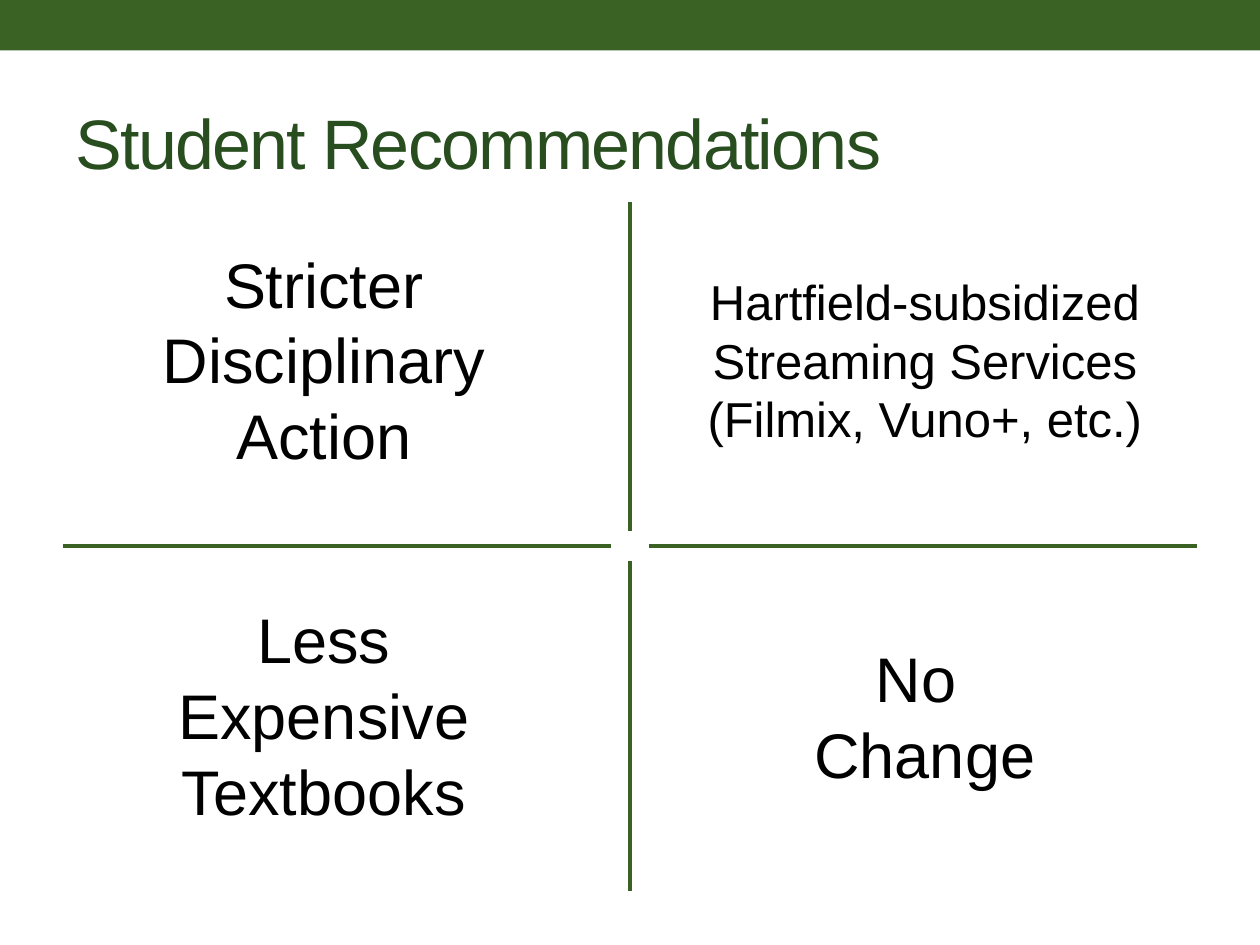
from pptx import Presentation
from pptx.dml.color import RGBColor
from pptx.enum.shapes import MSO_CONNECTOR, MSO_SHAPE
from pptx.enum.text import MSO_ANCHOR, PP_ALIGN
from pptx.oxml.ns import qn
from pptx.util import Inches, Pt
from lxml import etree

RECT, LINE = MSO_SHAPE.RECTANGLE, MSO_CONNECTOR.STRAIGHT
LEFT, CENTER, MIDDLE = PP_ALIGN.LEFT, PP_ALIGN.CENTER, MSO_ANCHOR.MIDDLE
COLORS = {"green": "396224", "title": "284D1F", "text": "000000"}
FONT = "Arial"
TITLE_ONLY = 5


def rgb(name):
    return RGBColor.from_string(COLORS[name])


def inches(*values):
    return [Inches(v) for v in values]


def format_text(tf, size, color, align):
    tf.word_wrap = True
    for p in tf.paragraphs:
        p.alignment = align
        for r in p.runs:
            r.font.size = Pt(size)
            r.font.name = FONT
            r.font.color.rgb = rgb(color)


def add_header(slide, box):
    """Bar across the top and the title below it."""
    x, y, w, h = box
    bar = slide.shapes.add_shape(RECT, *inches(x, y, w, 0.4))
    bar.shadow.inherit = False
    bar.fill.solid()
    bar.fill.fore_color.rgb = rgb("green")
    bar.line.fill.background()

    title = slide.shapes.title
    title.left, title.top, title.width, title.height = inches(
        x + 0.5, y + 0.58, w - 1, h - 0.58)
    tf = title.text_frame
    tf.text = "Student Recommendations"
    tf.vertical_anchor = MIDDLE
    format_text(tf, 40, "title", LEFT)
    tf.paragraphs[0].runs[0].font._element.set("spc", "-100")


def add_rule(slide, x1, y1, x2, y2):
    line = slide.shapes.add_connector(LINE, *inches(x1, y1, x2, y2))
    line.line.color.rgb = rgb("green")
    line.line.width = Pt(2.08)
    etree.SubElement(line._element.spPr, qn("a:effectLst"))


def add_cross(slide, box, gap_x, gap_y):
    """Four rules that leave a gap around the centre of the box."""
    x, y, w, h = box
    cx, cy = x + w / 2, y + h / 2
    for side in (-1, 1):
        add_rule(slide, cx, cy + side * gap_y, cx, cy + side * h / 2)
        add_rule(slide, cx + side * gap_x, cy, cx + side * w / 2, cy)


def add_quadrants(slide, box, items):
    """One text per quadrant, centred on the given shares of the box."""
    x, y, w, h = box
    for text, size, share_x, share_y, tw, th in items:
        sp = slide.shapes.add_textbox(*inches(
            x + w * share_x - tw / 2, y + h * share_y - th / 2, tw, th))
        sp.text_frame.text = text
        format_text(sp.text_frame, size, "text", CENTER)


prs = Presentation()
prs.slide_width, prs.slide_height = inches(10, 7.5)
slide = prs.slides.add_slide(prs.slide_layouts[TITLE_ONLY])

GRID = (0.5, 1.6, 9, 5.47)
COL_1, COL_2 = 0.23, 0.76
ROW_1, ROW_2 = 0.23, 0.746
ITEMS = [
    ("Stricter Disciplinary Action", 36, COL_1, ROW_1, 3.46, 1.92),
    ("Hartfield-subsidized Streaming Services (Filmix, Vuno+, etc.)",
     28, COL_2, ROW_1, 4, 1.51),
    ("Less Expensive Textbooks", 36, COL_1, ROW_2, 3.46, 1.92),
    ("No \nChange", 36, COL_2, ROW_2, 3.46, 1.31),
]

add_header(slide, (0, 0, 10, 1.66))
add_cross(slide, GRID, 0.15, 0.12)
add_quadrants(slide, GRID, ITEMS)
prs.save("out.pptx")
